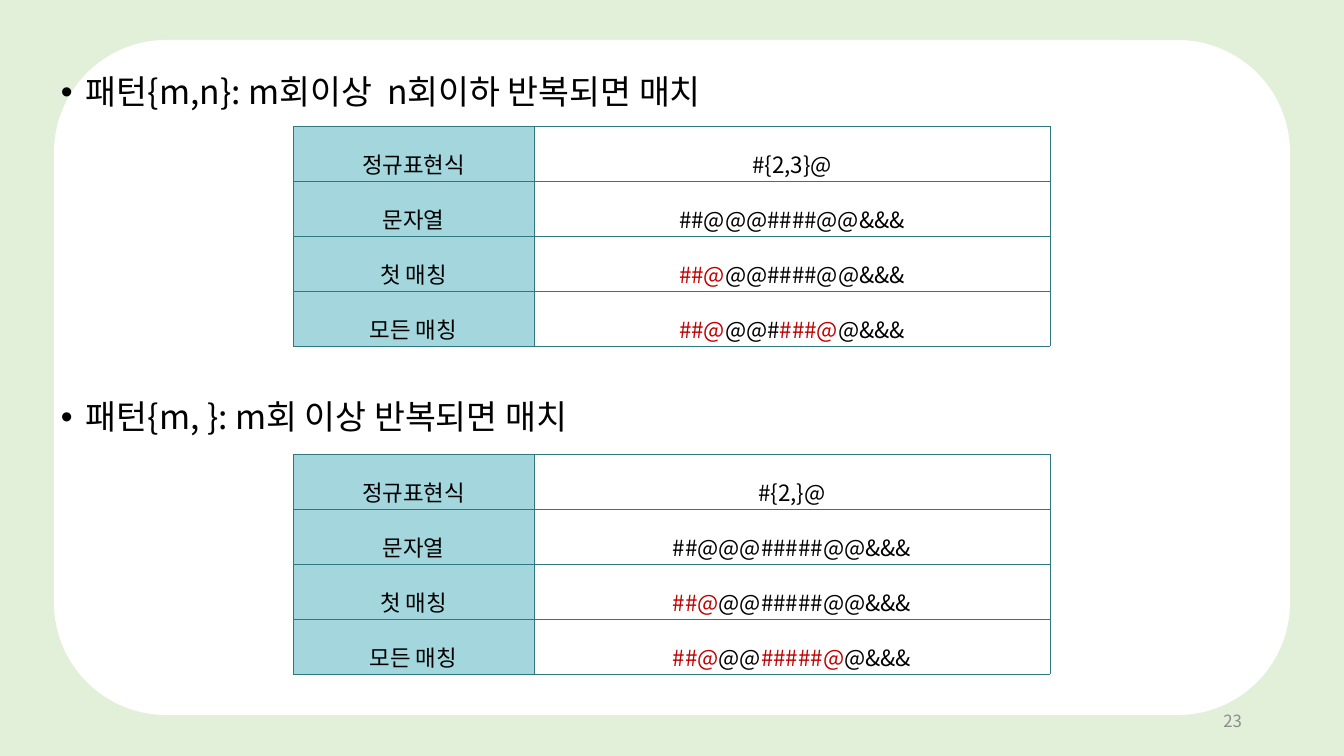
"""Build a slide on bounded repetition in regular expressions."""
from dataclasses import dataclass
from lxml import etree
from pptx import Presentation, util as u
from pptx.dml.color import RGBColor
from pptx.enum import shapes, text
from pptx.oxml.ns import qn

LABELS = ["정규표현식", "문자열", "첫 매칭", "모든 매칭"]
# Each value alternates matched and unmatched pieces.
PARTS = [
    {
        "head": "패턴{m,n}: m회이상  n회이하 반복되면 매치",
        "top": (71, 126),
        "rows": [
            ("", "#{2,3}@"),
            ("", "##@@@####@@&&&"),
            ("##@", "@@####@@&&&"),
            ("##@", "@@#", "###@", "@&&&"),
        ],
    },
    {
        "head": "패턴{m, }: m회 이상 반복되면 매치",
        "top": (396, 454),
        "rows": [
            ("", "#{2,}@"),
            ("", "##@@@#####@@&&&"),
            ("##@", "@@#####@@&&&"),
            ("##@", "@@", "#####@", "@&&&"),
        ],
    },
]
PAGE = "23"
WIDE, HIGH = 1344, 756
CARD = (54, 40, 1236, 675)
HEAD = (0, 1210, 50)
NOTE = (950, 701, 302, 40)
LEFT, COLS, ROW = 293, (241, 516), 55
TEXT_IN, HANG = 76, 25


@dataclass(frozen=True)
class Theme:
    """Hold the colours, font and type sizes."""
    font: str = "Noto Sans CJK KR"
    back: str = "E2F0D9"
    card: str = "FFFFFF"
    ink: str = "000000"
    hit: str = "C00000"
    label: str = "A3D7DD"
    edge: str = "2F7880"
    dim: str = "8C8C8C"
    head: int = 24
    cell: int = 16
    note: int = 12
    rule: float = 0.28


T = Theme()


def px(n):
    """Turn pixels into EMU."""
    return u.Emu(round(n * 914400 / 100.8))


def box(at):
    """Turn a pixel box into EMU."""
    return [px(n) for n in at]


def write(para, words, size, color):
    """Add one styled run."""
    run = para.add_run()
    run.text = words
    font = run.font
    font.size = u.Pt(size)
    font.color.rgb = RGBColor.from_string(color)
    font.name = T.font
    etree.SubElement(font._element, qn("a:ea"), typeface=T.font)


def panel(slide, kind, at, color):
    """Draw one plain filled shape."""
    shape = slide.shapes.add_shape(kind, *box(at))
    shape.shadow.inherit = False
    shape.fill.solid()
    shape.fill.fore_color.rgb = RGBColor.from_string(color)
    shape.line.fill.background()


def label(slide, at, words, size, color):
    """Add a wrapped text box and return its frame."""
    frame = slide.shapes.add_textbox(*box(at)).text_frame
    frame.word_wrap = True
    write(frame.paragraphs[0], words, size, color)
    return frame


def heading(slide, top, words):
    """Add one bulleted heading."""
    left, width, height = HEAD
    frame = label(slide, (left, top, width, height), words, T.head, T.ink)
    para = frame.paragraphs[0]
    para.line_spacing = 0.9
    para.space_before = u.Pt(5)
    props = para._p.get_or_add_pPr()
    props.set("marL", str(px(TEXT_IN)))
    props.set("indent", str(-px(HANG)))
    etree.SubElement(props, qn("a:buFont"), typeface="Arial")
    etree.SubElement(props, qn("a:buChar"), char="•")


def border(cell):
    """Rule all four sides of a cell."""
    props = cell._tc.get_or_add_tcPr()
    for spot, side in enumerate(("lnL", "lnR", "lnT", "lnB")):
        line = etree.Element(qn("a:" + side), w=str(u.Pt(T.rule)))
        fill = etree.SubElement(line, qn("a:solidFill"))
        etree.SubElement(fill, qn("a:srgbClr"), val=T.edge)
        props.insert(spot, line)


def fill_cell(cell, parts, color=None):
    """Style a cell and write its alternating pieces."""
    cell.margin_left = cell.margin_right = px(9)
    cell.margin_top = cell.margin_bottom = px(2)
    cell.vertical_anchor = text.MSO_ANCHOR.MIDDLE
    if color:
        cell.fill.solid()
        cell.fill.fore_color.rgb = RGBColor.from_string(color)
    else:
        cell.fill.background()
    border(cell)
    para = cell.text_frame.paragraphs[0]
    para.alignment = text.PP_ALIGN.CENTER
    para.line_spacing = 1.6
    for spot, words in enumerate(parts):
        if words:
            write(para, words, T.cell, T.ink if spot % 2 else T.hit)


def grid(slide, top, rows):
    """Add one table of labels and sample strings."""
    at = box((LEFT, top, sum(COLS), ROW * len(rows)))
    table = slide.shapes.add_table(len(rows), len(COLS), *at).table
    table.first_row = table.horz_banding = False
    for col, width in zip(table.columns, COLS):
        col.width = px(width)
    for spot, (name, parts) in enumerate(zip(LABELS, rows)):
        table.rows[spot].height = px(ROW)
        fill_cell(table.cell(spot, 0), ("", name), T.label)
        fill_cell(table.cell(spot, 1), parts)


def main():
    """Build and save the deck."""
    deck = Presentation()
    deck.slide_width, deck.slide_height = px(WIDE), px(HIGH)
    slide = deck.slides.add_slide(deck.slide_layouts[6])
    kinds = shapes.MSO_SHAPE
    panel(slide, kinds.RECTANGLE, (0, 0, WIDE, HIGH), T.back)
    panel(slide, kinds.ROUNDED_RECTANGLE, CARD, T.card)
    note = label(slide, NOTE, PAGE, T.note, T.dim)
    note.vertical_anchor = text.MSO_ANCHOR.MIDDLE
    note.paragraphs[0].alignment = text.PP_ALIGN.RIGHT
    for part in PARTS:
        head, body = part["top"]
        heading(slide, head, part["head"])
        grid(slide, body, part["rows"])
    deck.save("out.pptx")


if __name__ == "__main__":
    main()
